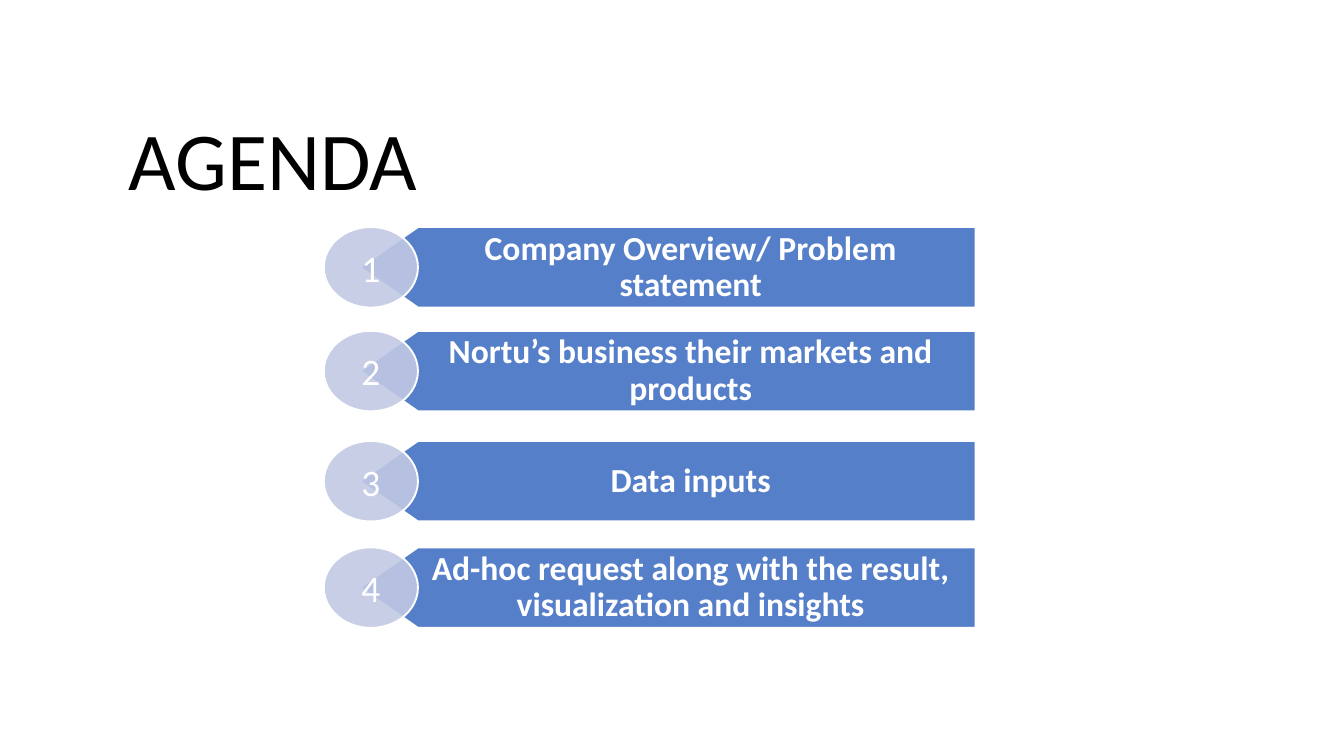
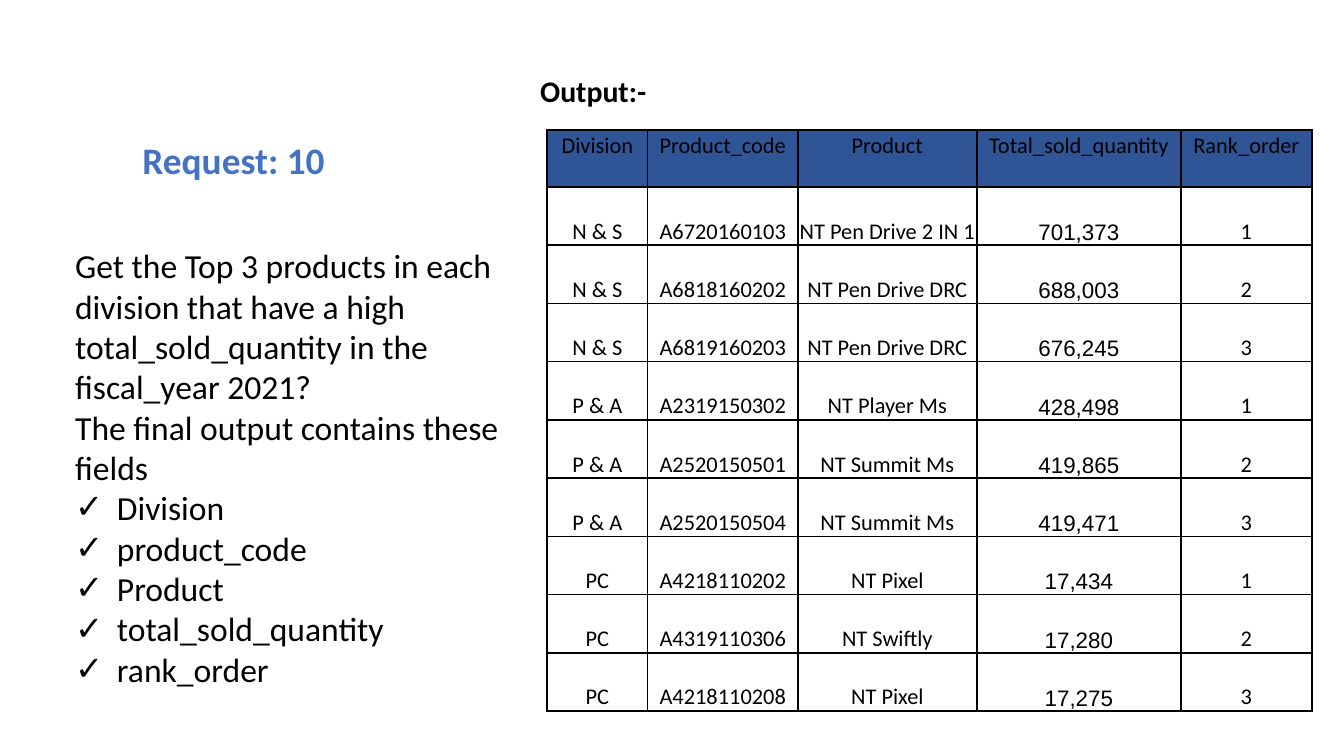
from lxml import etree
from pptx import Presentation
from pptx import util as u
from pptx.dml.color import RGBColor
from pptx.enum import shapes, text
from pptx.oxml import ns

BLACK, WHITE, BLUE, NAVY, PALE = "000000", "FFFFFF", "4472C4", "2F5597", "C1C9E4"
LEFT, CENTER = text.PP_ALIGN.LEFT, text.PP_ALIGN.CENTER
TOP, MIDDLE, BOTTOM = text.MSO_ANCHOR.TOP, text.MSO_ANCHOR.MIDDLE, text.MSO_ANCHOR.BOTTOM
INSETS = (0.25, 0.13, 0.25, 0.13)

AGENDA = [
    (4.29, "Company Overview/ Problem statement"),
    (6.25, "Nortu’s business their markets and products"),
    (8.33, "Data inputs"),
    (10.34, "Ad-hoc request along with the result, visualization and insights"),
]
BAR = dict(tip=6.81, shoulder=7.9, right=18.44, height=1.52)
DISC = dict(left=6.12, width=1.78)

QUESTION = [
    "Get the Top 3 products in each division that have a high total_sold_quantity in the fiscal_year 2021?",
    "The final output contains these fields",
]
FIELDS = ["Division", "product_code", "Product", "total_sold_quantity", "rank_order"]

HEADER = ("Division", "Product_code", "Product", "Total_sold_quantity", "Rank_order")
ROWS = [
    ("N & S", "A6720160103", "NT Pen Drive 2 IN 1", "701,373", "1"),
    ("N & S", "A6818160202", "NT Pen Drive DRC", "688,003", "2"),
    ("N & S", "A6819160203", "NT Pen Drive DRC", "676,245", "3"),
    ("P & A", "A2319150302", "NT Player Ms", "428,498", "1"),
    ("P & A", "A2520150501", "NT Summit Ms", "419,865", "2"),
    ("P & A", "A2520150504", "NT Summit Ms", "419,471", "3"),
    ("PC", "A4218110202", "NT Pixel", "17,434", "1"),
    ("PC", "A4319110306", "NT Swiftly", "17,280", "2"),
    ("PC", "A4218110208", "NT Pixel", "17,275", "3"),
]
COLUMN_WIDTHS = (1.9, 2.84, 3.38, 3.86, 2.47)
HEADER_HEIGHT, ROW_HEIGHT = 1.07, 1.1
QUANTITY_COLUMN = 3


def color(value):
    return RGBColor.from_string(value)


def child(parent, tag, **attributes):
    return etree.SubElement(parent, ns.qn(tag), attributes)


def write(para, words, size, ink=BLACK, bold=False, align=LEFT, face="Calibri", spacing=1.0):
    para.alignment = align
    para.line_spacing = spacing
    para.space_before = para.space_after = u.Pt(0)
    span = para.add_run()
    span.text = words
    span.font.name = face
    span.font.size = u.Pt(size)
    span.font.bold = bold
    span.font.color.rgb = color(ink)


def set_frame(box, anchor=TOP, insets=INSETS):
    frame = box.text_frame
    frame.word_wrap = True
    frame.auto_size = text.MSO_AUTO_SIZE.NONE
    frame.vertical_anchor = anchor
    sides = ("margin_left", "margin_top", "margin_right", "margin_bottom")
    for side, inset in zip(sides, insets):
        setattr(frame, side, u.Cm(inset))
    return frame


def move(box, left, top, width, height):
    box.left, box.top, box.width, box.height = map(u.Cm, (left, top, width, height))


def paint(shape, fill):
    shape.shadow.inherit = False
    shape.fill.solid()
    shape.fill.fore_color.rgb = color(fill)
    shade = shape.fill._xPr.find(ns.qn("a:solidFill"))[0]
    child(shade, "a:alpha", val="90000")
    shape.line.color.rgb = color(WHITE)
    shape.line.width = u.Pt(1)


def add_agenda_item(page, number, top, words):
    group = page.shapes.add_group_shape()
    middle, bottom = top + BAR["height"] / 2, top + BAR["height"]
    outline = [(BAR["right"], top), (BAR["right"], bottom), (BAR["shoulder"], bottom),
               (BAR["tip"], middle), (BAR["shoulder"], top)]
    points = [(u.Cm(x), u.Cm(y)) for x, y in outline]
    builder = group.shapes.build_freeform(*points[0])
    builder.add_line_segments(points[1:], close=True)
    bar = builder.convert_to_shape()
    paint(bar, BLUE)
    frame = set_frame(bar, MIDDLE, (1.22, 0, 0.36, 0))
    write(frame.paragraphs[0], words, 18, WHITE, True, CENTER, spacing=0.9)
    disc = group.shapes.add_shape(
        shapes.MSO_SHAPE.OVAL,
        *map(u.Cm, (DISC["left"], top, DISC["width"], BAR["height"])))
    paint(disc, PALE)
    frame = set_frame(disc, MIDDLE, (0, 0, 0, 0))
    write(frame.paragraphs[0], str(number), 20, WHITE, align=CENTER)


def build_agenda(deck):
    page = deck.slides.add_slide(deck.slide_layouts[5])
    title = page.shapes.title
    move(title, 2.08, 2.16, 11.07, 1.78)
    frame = set_frame(title, BOTTOM, (0.35, 0, 0, 0))
    write(frame.paragraphs[0], "AGENDA", 44, spacing=0.9)
    for number, (top, words) in enumerate(AGENDA, 1):
        add_agenda_item(page, number, top, words)


def set_bullet(para, mark=None):
    properties = para._p.get_or_add_pPr()
    indent = u.Cm(0.79) if mark else 0
    properties.set("marL", str(indent))
    properties.set("indent", str(-indent))
    if mark:
        child(child(properties, "a:buClr"), "a:srgbClr", val=BLACK)
        child(properties, "a:buChar", char=mark)
    else:
        child(properties, "a:buNone")


def fill_question(body):
    move(body, 1.17, 4.5, 9.17, 8.66)
    frame = set_frame(body)
    lines = [(words, None) for words in QUESTION] + [(words, "✓") for words in FIELDS]
    for index, (words, mark) in enumerate(lines):
        para = frame.add_paragraph() if index else frame.paragraphs[0]
        set_bullet(para, mark)
        write(para, words, 18)


def set_borders(cell):
    properties = cell._tc.get_or_add_tcPr()
    for side in ("a:lnL", "a:lnR", "a:lnT", "a:lnB"):
        line = child(properties, side, w=str(u.Pt(1)))
        child(child(line, "a:solidFill"), "a:srgbClr", val=BLACK)


def fill_cell(cell, words, heading, face):
    set_borders(cell)
    if heading:
        cell.fill.solid()
        cell.fill.fore_color.rgb = color(NAVY)
    else:
        cell.fill.background()
    cell.margin_left = cell.margin_right = cell.margin_top = u.Cm(0.03)
    cell.margin_bottom = 0
    cell.vertical_anchor = TOP if heading else BOTTOM
    write(cell.text_frame.paragraphs[0], words, 12, align=CENTER, face=face)


def add_output_table(page):
    records = [HEADER] + ROWS
    heights = [HEADER_HEIGHT] + [ROW_HEIGHT] * len(ROWS)
    table = page.shapes.add_table(
        len(records), len(HEADER),
        *map(u.Cm, (10.34, 2.46, sum(COLUMN_WIDTHS), sum(heights)))).table
    table.horz_banding = False
    for column, width in zip(table.columns, COLUMN_WIDTHS):
        column.width = u.Cm(width)
    for r, (record, height) in enumerate(zip(records, heights)):
        table.rows[r].height = u.Cm(height)
        for c, words in enumerate(record):
            face = "Arial" if r and c == QUANTITY_COLUMN else "Calibri"
            fill_cell(table.cell(r, c), words, r == 0, face)


def build_request(deck):
    page = deck.slides.add_slide(deck.slide_layouts[1])
    title = page.shapes.title
    move(title, 2.44, 2.46, 4.9, 1.12)
    write(set_frame(title).paragraphs[0], "Request: 10", 20, BLUE, True)
    fill_question(page.placeholders[1])
    label = page.shapes.add_textbox(*map(u.Cm, (9.96, 1.24, 2.74, 0.94)))
    write(set_frame(label).paragraphs[0], "Output:-", 16, bold=True)
    add_output_table(page)


def main():
    """Build the agenda and request slides and save the deck."""
    deck = Presentation()
    deck.slide_width, deck.slide_height = u.Cm(25.4), u.Cm(14.28)
    build_agenda(deck)
    build_request(deck)
    deck.save("out.pptx")


if __name__ == "__main__":
    main()
